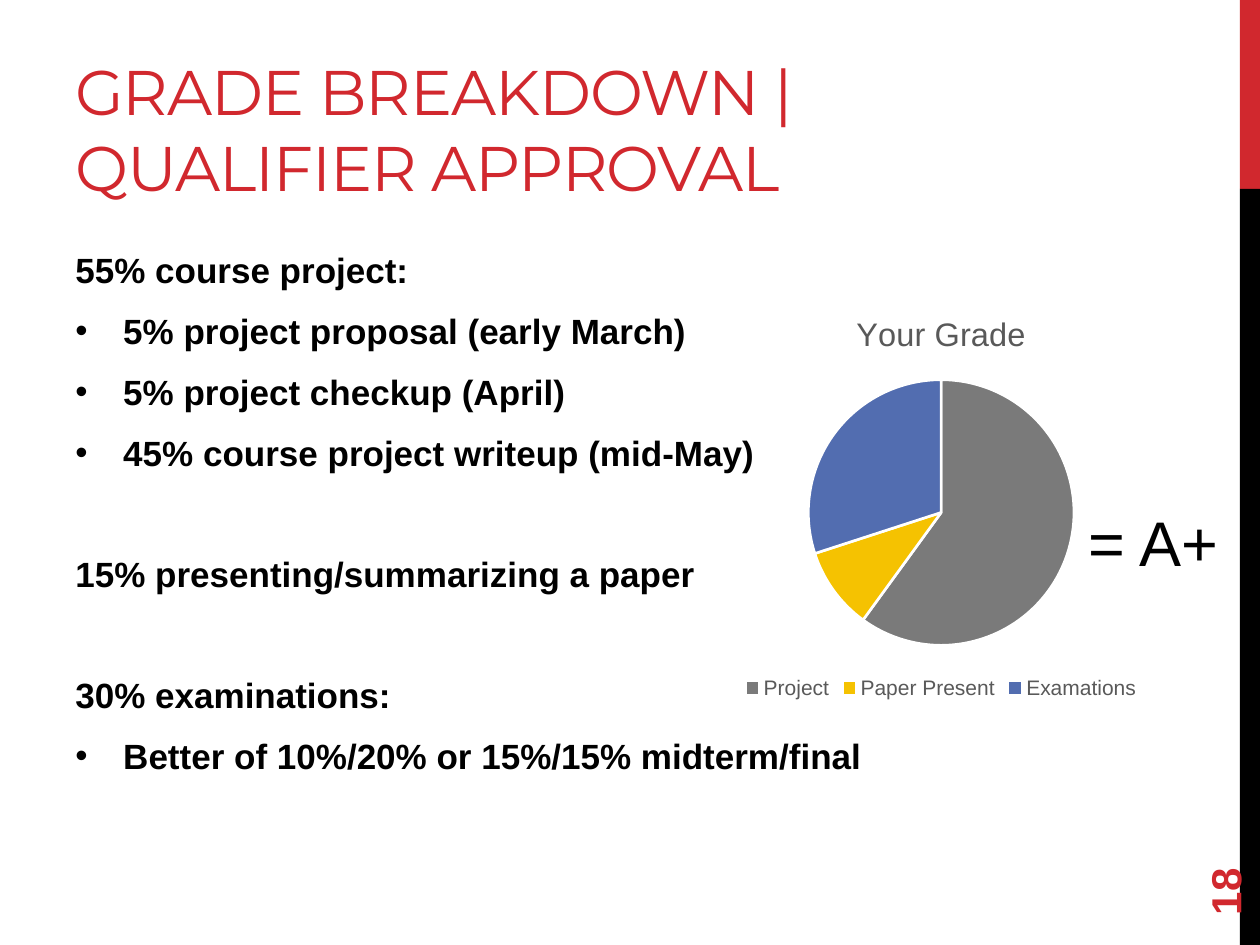
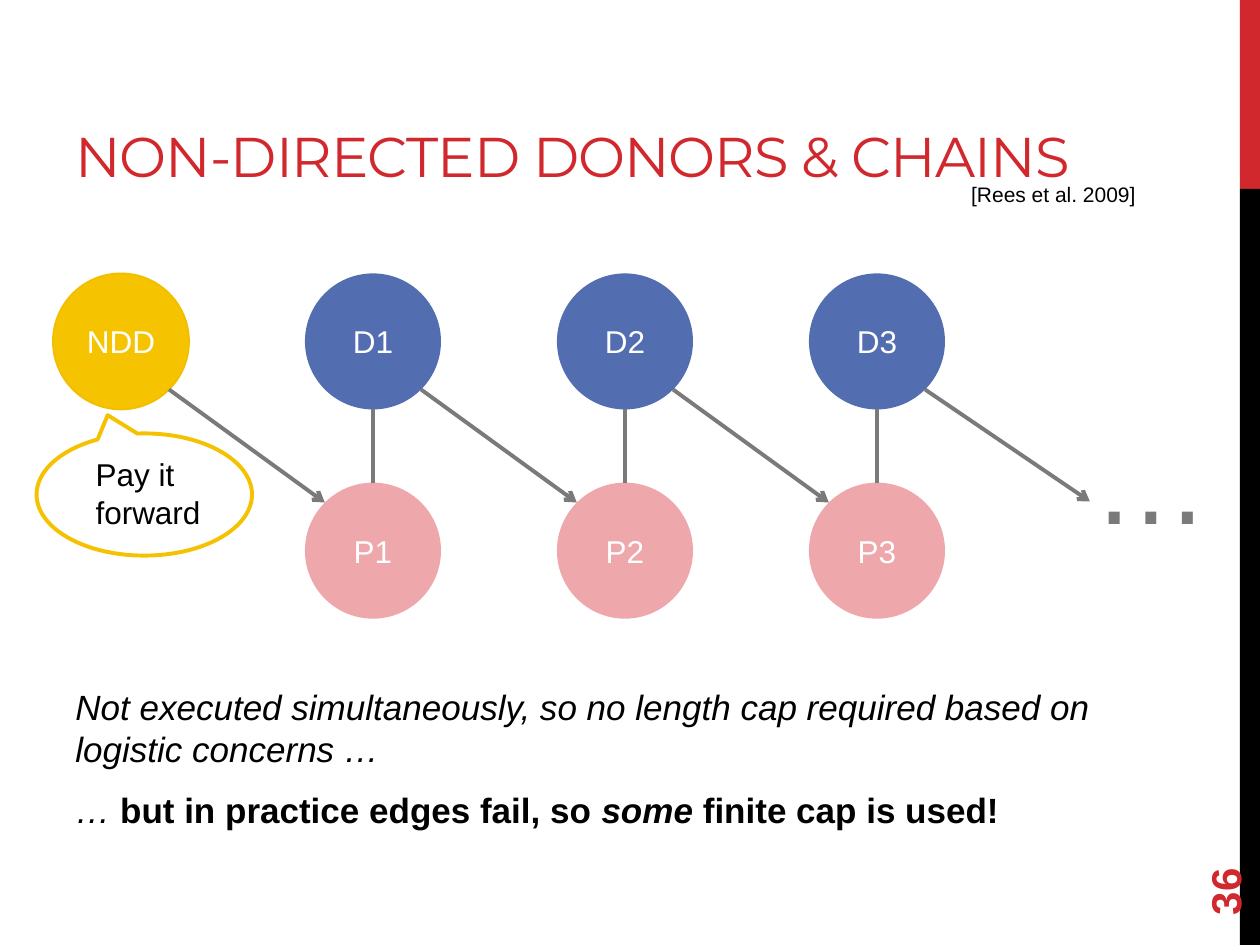
from dataclasses import dataclass
from math import sqrt

from lxml import etree
from pptx import Presentation
from pptx.chart.data import CategoryChartData
from pptx.dml.color import RGBColor
from pptx.enum.chart import XL_CHART_TYPE, XL_LEGEND_POSITION
from pptx.enum.shapes import MSO_CONNECTOR, MSO_SHAPE
from pptx.enum.text import MSO_ANCHOR, PP_ALIGN
from pptx.oxml.ns import qn
from pptx.util import Inches, Pt

PIE = XL_CHART_TYPE.PIE
LEGEND_BOTTOM = XL_LEGEND_POSITION.BOTTOM
STRAIGHT = MSO_CONNECTOR.STRAIGHT
RECTANGLE, OVAL = MSO_SHAPE.RECTANGLE, MSO_SHAPE.OVAL
CALLOUT = MSO_SHAPE.OVAL_CALLOUT
TOP, MIDDLE, BOTTOM = MSO_ANCHOR.TOP, MSO_ANCHOR.MIDDLE, MSO_ANCHOR.BOTTOM
LEFT, CENTER = PP_ALIGN.LEFT, PP_ALIGN.CENTER
WIDTH, HEIGHT = Inches(10), Inches(7.5)


@dataclass(frozen=True)
class Theme:
    """Colours, fonts and type sizes of the deck."""
    red: str = "D1282E"
    black: str = "000000"
    white: str = "FFFFFF"
    gray: str = "7A7A7A"
    label_gray: str = "595959"
    yellow: str = "F5C201"
    ndd_fill: str = "F6C300"
    ndd_line: str = "F1BE00"
    blue: str = "526DB0"
    pink: str = "EEA7AA"
    body_font: str = "Arial"
    title_font: str = "Montserrat"
    title: float = 36
    title_small: float = 32
    page: float = 24
    body: float = 20
    chart_title: float = 18.6
    label: float = 18
    small: float = 12
    dots: float = 66
    stroke: float = 2.25


THEME = Theme()
BEFORE, AFTER, SECTION_GAP = 5, 6, 39
BULLET_INDENT = Inches(0.38)
DIAMETER = 10.8
FIRST_COLUMN, COLUMN_STEP = 4.2, 20
DONOR_ROW, PATIENT_ROW = 28.93, 51.07


def across(percent):
    """Turn a percentage of the slide's width into a length."""
    return round(WIDTH * percent / 100)


def down(percent):
    """Turn a percentage of the slide's height into a length."""
    return round(HEIGHT * percent / 100)


def place(box):
    """Turn left, top, width, height percentages into lengths."""
    left, top, width, height = box
    return across(left), down(top), across(width), down(height)


def style_font(font, size, color=THEME.black, name=THEME.body_font, **extra):
    """Give a font its size, colour, face and further values."""
    for key, value in {"size": Pt(size), "name": name, **extra}.items():
        setattr(font, key, value)
    font.color.rgb = RGBColor.from_string(color)


def write(paragraph, runs, **style):
    """Write (text, format) runs into a paragraph."""
    for text, changes in runs:
        run = paragraph.add_run()
        run.text = text
        style_font(run.font, **{**style, **changes})


def add_text(slide, box, text, anchor=TOP, **style):
    """Add a wrapping one-paragraph text box."""
    label = slide.shapes.add_textbox(*place(box))
    frame = label.text_frame
    frame.word_wrap = True
    frame.vertical_anchor = anchor
    write(frame.paragraphs[0], [(text, {})], **style)
    return label


def add_title(slide, box, text, size):
    """Add a bottom-anchored slide title with tightened letters."""
    title = add_text(slide, box, text, BOTTOM, size=size,
                     color=THEME.red, name=THEME.title_font)
    for run in title.text_frame.paragraphs[0].runs:
        run.font._element.set("spc", "-60")


def add_bullet(paragraph):
    """Give a paragraph a hanging round bullet."""
    properties = paragraph._p.get_or_add_pPr()
    properties.set("marL", str(BULLET_INDENT))
    properties.set("indent", str(-BULLET_INDENT))
    etree.SubElement(properties, qn("a:buFont")).set("typeface", THEME.body_font)
    etree.SubElement(properties, qn("a:buChar")).set("char", "•")


def add_body(slide, box, items, **style):
    """Add body paragraphs given as (runs, space before, bulleted)."""
    frame = slide.shapes.add_textbox(*place(box)).text_frame
    frame.word_wrap = True
    for index, (runs, before, bulleted) in enumerate(items):
        paragraph = frame.add_paragraph() if index else frame.paragraphs[0]
        if bulleted:
            add_bullet(paragraph)
        paragraph.space_before = Pt(before)
        paragraph.space_after = Pt(AFTER)
        write(paragraph, runs, size=THEME.body, **style)


def add_figure(slide, kind, bounds, fill, line=None, line_width=1):
    """Add a flat preset shape with an optional outline."""
    figure = slide.shapes.add_shape(kind, *bounds)
    figure.shadow.inherit = False
    figure.fill.solid()
    figure.fill.fore_color.rgb = RGBColor.from_string(fill)
    if line:
        figure.line.color.rgb = RGBColor.from_string(line)
        figure.line.width = Pt(line_width)
    else:
        figure.line.fill.background()
    return figure


def add_node(slide, column, row, text, fill, line=None):
    """Add a labelled circle of the exchange graph."""
    side = across(DIAMETER)
    left = across(FIRST_COLUMN + COLUMN_STEP * column)
    node = add_figure(slide, OVAL, (left, down(row), side, side), fill, line)
    frame = node.text_frame
    frame.vertical_anchor = MIDDLE
    frame.paragraphs[0].alignment = CENTER
    write(frame.paragraphs[0], [(text, {})], size=THEME.label, color=THEME.white)
    return node


def rim(node, right, low):
    """Return the rim point in a direction of -1, 0 or 1 on each axis."""
    radius = node.width / 2
    reach = radius / sqrt(right ** 2 + low ** 2)
    return (round(node.left + radius + right * reach),
            round(node.top + radius + low * reach))


def add_edge(slide, start, end, arrow=False):
    """Add a graph edge, with an arrowhead for a donation."""
    edge = slide.shapes.add_connector(STRAIGHT, *start, *end)
    edge.line.color.rgb = RGBColor.from_string(THEME.gray)
    edge.line.width = Pt(THEME.stroke)
    if arrow:
        outline = edge.line._get_or_add_ln()
        etree.SubElement(outline, qn("a:tailEnd")).set("type", "arrow")
    etree.SubElement(edge._element.spPr, qn("a:effectLst"))


def add_grade_pie(slide, box, title, shares):
    """Add a pie from {category: (value, colour)}."""
    data = CategoryChartData()
    data.categories = list(shares)
    data.add_series(title, [value for value, _ in shares.values()])
    chart = slide.shapes.add_chart(PIE, *place(box), data).chart
    style_font(chart.font, THEME.small, THEME.label_gray)
    chart.has_title = True
    heading = chart.chart_title.text_frame.paragraphs[0]
    write(heading, [(title, {})], size=THEME.chart_title,
          color=THEME.label_gray, bold=False)
    chart.has_legend = True
    chart.legend.position = LEGEND_BOTTOM
    chart.legend.include_in_layout = False
    style_font(chart.legend.font, THEME.small, THEME.label_gray)
    pie = chart.plots[0]
    pie.vary_by_categories = True
    for index, (_, color) in enumerate(shares.values()):
        wedge = pie.series[0].points[index].format
        wedge.fill.solid()
        wedge.fill.fore_color.rgb = RGBColor.from_string(color)
        wedge.line.color.rgb = RGBColor.from_string(THEME.white)
        wedge.line.width = Pt(1.5)


def new_slide(deck, number):
    """Add a blank slide with the side band and its page number."""
    slide = deck.slides.add_slide(deck.slide_layouts[6])
    for top, height, color in ((0, 20, THEME.red), (20, 80, THEME.black)):
        add_figure(slide, RECTANGLE, place((98.4, top, 1.6, height)), color)
    page = add_text(slide, (90, 85.87, 14.4, 5.33), str(number), MIDDLE,
                    size=THEME.page, color=THEME.red, bold=True)
    page.rotation = 270
    return slide


def build_grades(deck):
    """Build the grade breakdown slide."""
    slide = new_slide(deck, 18)
    add_title(slide, (5, 2.27, 63.3, 20),
              "GRADE BREAKDOWN | QUALIFIER APPROVAL", THEME.title)
    grading = [
        ("55% course project:", 0, False),
        ("5% project proposal (early March)", BEFORE, True),
        ("5% project checkup (April)", BEFORE, True),
        ("45% course project writeup (mid-May)", BEFORE, True),
        ("15% presenting/summarizing a paper", SECTION_GAP, False),
        ("30% examinations:", SECTION_GAP, False),
        ("Better of 10%/20% or 15%/15% midterm/final", BEFORE, True),
    ]
    add_body(slide, (5, 25.6, 83.3, 63.73),
             [([(text, {})], before, bulleted) for text, before, bulleted in grading],
             bold=True)
    add_grade_pie(slide, (50.1, 30.8, 49.2, 43.73), "Your Grade", {
        "Project": (60, THEME.gray),
        "Paper Present": (10, THEME.yellow),
        "Examations": (30, THEME.blue),
    })
    add_text(slide, (85.4, 52.67, 13.3, 9.47), "= A+", size=THEME.title)


def build_chain(deck):
    """Build the donor chain slide."""
    slide = new_slide(deck, 36)
    add_title(slide, (5, 4, 90, 16.67),
              "NON-DIRECTED DONORS & CHAINS", THEME.title_small)
    add_body(slide, (5, 71.87, 90, 20.67), [
        ([("Not executed simultaneously, so no length cap required "
           "based on logistic concerns …", {"italic": True})], 0, False),
        ([("… ", {"italic": True}),
          ("but in practice edges fail, so ", {"bold": True}),
          ("some", {"bold": True, "italic": True}),
          (" finite cap is used!", {"bold": True})], BEFORE, False),
    ])
    donor = add_node(slide, 0, DONOR_ROW, "NDD", THEME.ndd_fill, THEME.ndd_line)
    for pair in (1, 2, 3):
        patient = add_node(slide, pair, PATIENT_ROW, f"P{pair}", THEME.pink)
        add_edge(slide, rim(donor, 1, 1), rim(patient, -1, -1), arrow=True)
        donor = add_node(slide, pair, DONOR_ROW, f"D{pair}", THEME.blue)
        add_edge(slide, rim(patient, 0, -1), rim(donor, 0, 1))
    add_edge(slide, rim(donor, 1, 1), (across(86.5), down(53.07)), arrow=True)
    add_text(slide, (85.8, 42.67, 10, 16.13), "…", size=THEME.dots, color=THEME.gray)
    speech = add_figure(slide, CALLOUT, place((2.9, 45.87, 17.1, 12.93)),
                        THEME.white, THEME.yellow, THEME.stroke)
    speech.adjustments[0], speech.adjustments[1] = -0.17, -0.65
    add_text(slide, (6.6, 47.47, 15.9, 9.47), "Pay it forward", size=THEME.label)
    add_text(slide, (76.1, 18.53, 22, 4), "[Rees et al. 2009]", size=THEME.small)


def main():
    """Build and save the deck."""
    deck = Presentation()
    deck.slide_width, deck.slide_height = WIDTH, HEIGHT
    build_grades(deck)
    build_chain(deck)
    deck.save("out.pptx")


if __name__ == "__main__":
    main()
